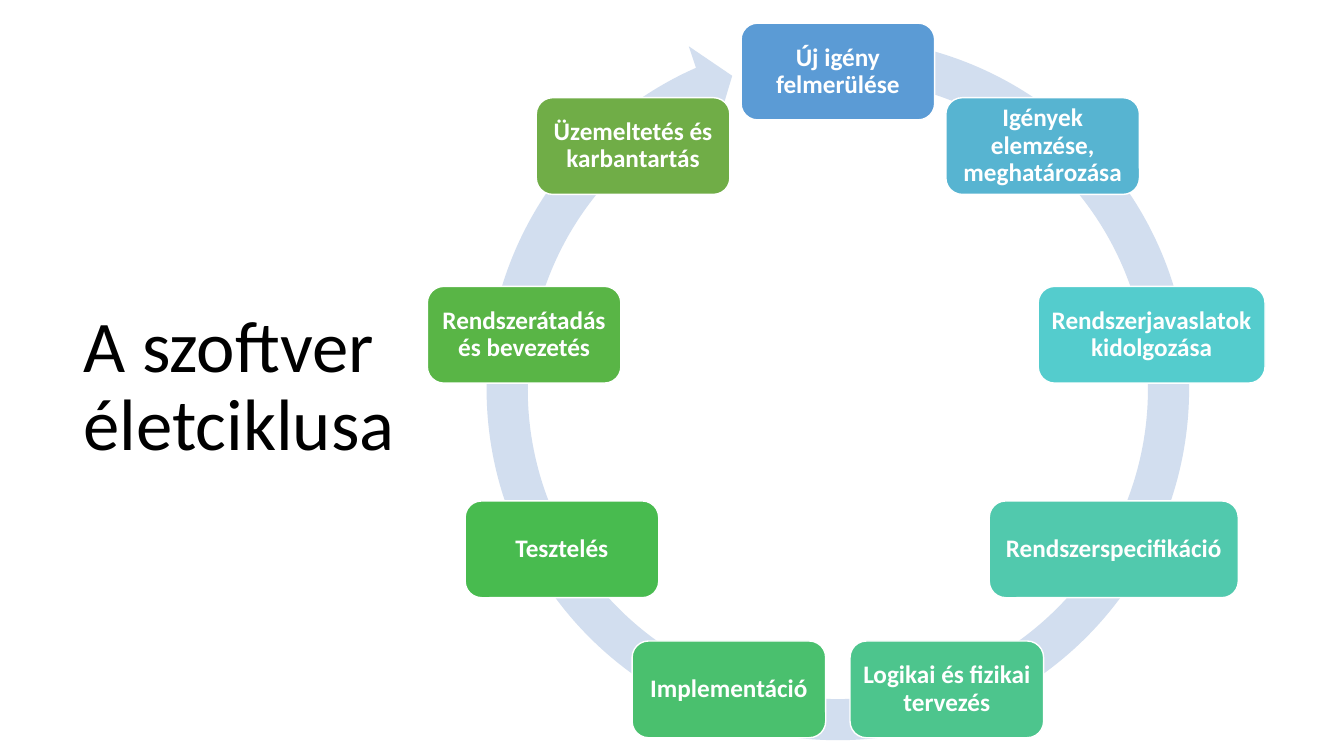
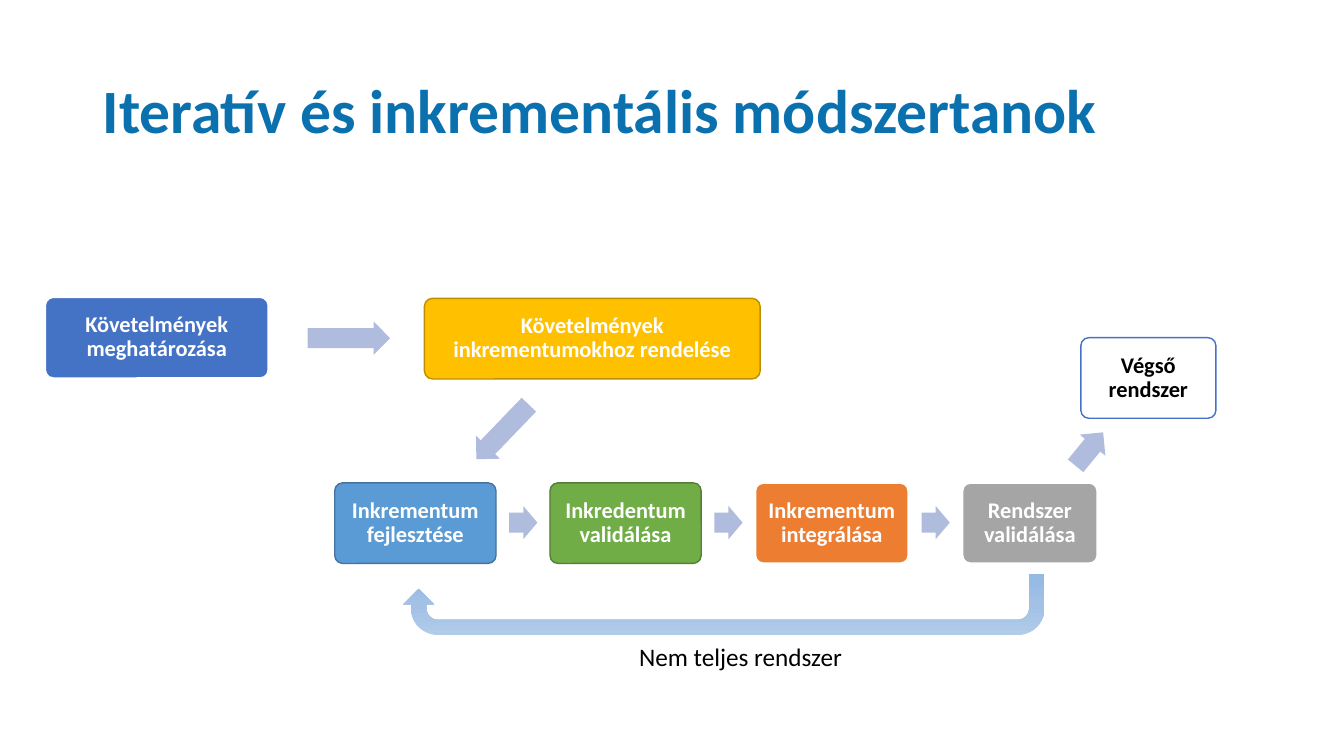
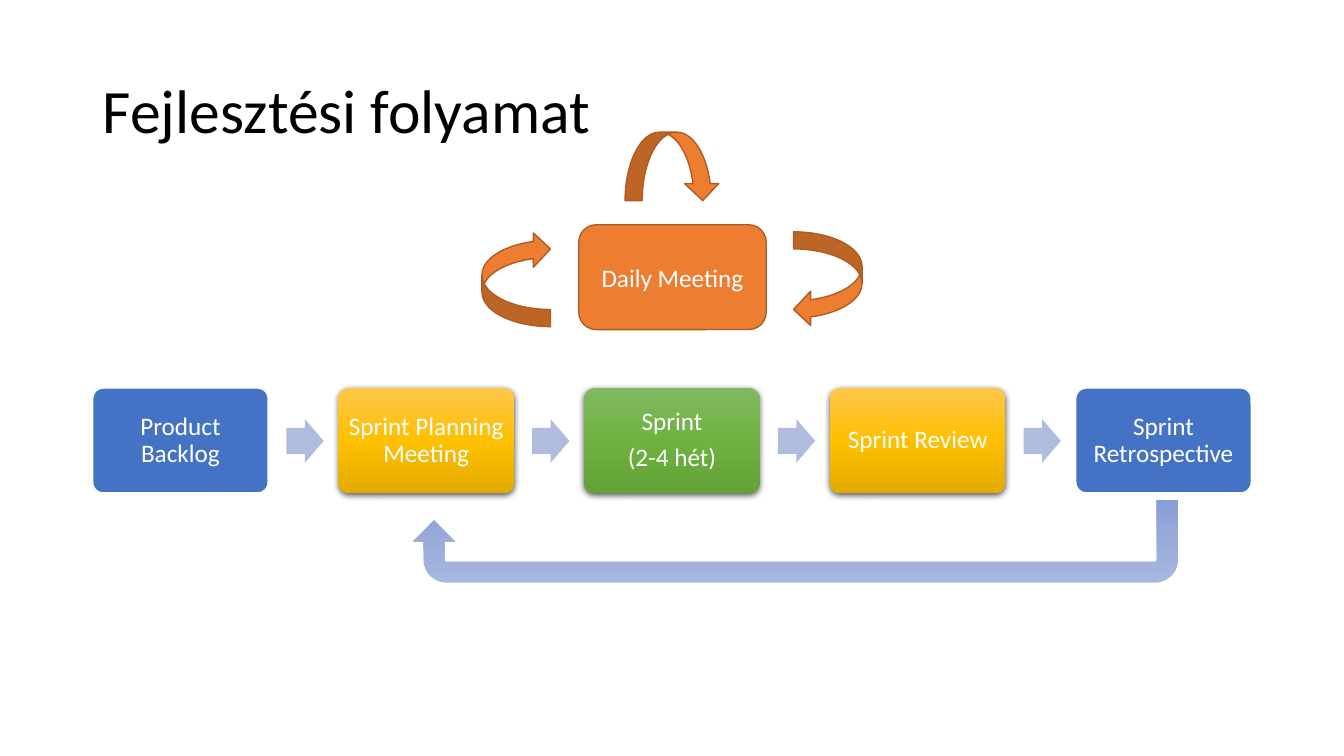
from copy import deepcopy
from math import cos, radians, sin
from typing import NamedTuple

from lxml import etree
from pptx import Presentation
from pptx.dml.color import RGBColor
from pptx.enum.shapes import MSO_SHAPE
from pptx.enum.text import MSO_ANCHOR, PP_ALIGN
from pptx.oxml.ns import qn
from pptx.util import Inches, Pt

ROUNDED = MSO_SHAPE.ROUNDED_RECTANGLE
RIGHT_ARROW = MSO_SHAPE.RIGHT_ARROW
CIRCULAR_ARROW = MSO_SHAPE.CIRCULAR_ARROW
U_TURN = MSO_SHAPE.U_TURN_ARROW
CURVED_ARROW = MSO_SHAPE.CURVED_LEFT_ARROW
MIDDLE = MSO_ANCHOR.MIDDLE
TOP = MSO_ANCHOR.TOP
CENTER = PP_ALIGN.CENTER
LEFT = PP_ALIGN.LEFT

FONT = "Calibri"
BLACK = RGBColor(0x00, 0x00, 0x00)
WHITE = RGBColor(0xFF, 0xFF, 0xFF)
TITLE_BLUE = RGBColor(0x0A, 0x70, 0xAE)
BLUE = RGBColor(0x44, 0x72, 0xC4)
SKY = RGBColor(0x5B, 0x9B, 0xD5)
SKY_EDGE = RGBColor(0x43, 0x73, 0x9E)
GREEN = RGBColor(0x70, 0xAD, 0x47)
GREEN_EDGE = RGBColor(0x53, 0x80, 0x35)
GOLD = RGBColor(0xFF, 0xC0, 0x00)
GOLD_EDGE = RGBColor(0xBD, 0x8E, 0x00)
ORANGE = RGBColor(0xED, 0x7D, 0x31)
ORANGE_EDGE = RGBColor(0xAF, 0x5C, 0x24)
GRAY = RGBColor(0xA5, 0xA5, 0xA5)
ARROW = RGBColor(0xB0, 0xBC, 0xDE)
RING = RGBColor(0xD2, 0xDE, 0xEF)
CYAN = RGBColor(0x57, 0xB4, 0xD1)
TURQUOISE = RGBColor(0x54, 0xCC, 0xCD)
TEAL = RGBColor(0x51, 0xC9, 0xAD)
MINT = RGBColor(0x4D, 0xC5, 0x8D)
JADE = RGBColor(0x4A, 0xC0, 0x6E)
EMERALD = RGBColor(0x48, 0xBB, 0x4F)
LEAF = RGBColor(0x59, 0xB5, 0x46)
GOLD_FADE = (RGBColor(0xFF, 0xC6, 0x4B), GOLD, RGBColor(0xE3, 0xAB, 0x00))
GREEN_FADE = (RGBColor(0x81, 0xB8, 0x61), RGBColor(0x6F, 0xB2, 0x42), RGBColor(0x62, 0xA3, 0x36))
SKY_FADE = (RGBColor(0xB1, 0xCB, 0xE9), RGBColor(0xA3, 0xC1, 0xE5), RGBColor(0x93, 0xB9, 0xE4))
BLUE_FADE = (RGBColor(0xA8, 0xB7, 0xDF), RGBColor(0x9A, 0xAB, 0xD9), RGBColor(0x88, 0x9E, 0xD7))


class Box(NamedTuple):
    left: float
    top: float
    width: float
    height: float

    def inside(self, left, top, width, height):
        return Box(self.left + left, self.top + top, width, height)

    def lengths(self):
        return [Inches(value) for value in self]


TITLE_BOX = Box(0.92, 0.4, 11.5, 1.45)
CYCLE_STEPS = (
    ("Új igény felmerülése", SKY, 1.92),
    ("Igények elemzése, meghatározása", CYAN, 1.92),
    ("Rendszerjavaslatok kidolgozása", TURQUOISE, 2.25),
    ("Rendszerspecifikáció", TEAL, 2.47),
    ("Logikai és fizikai tervezés", MINT, 1.92),
    ("Implementáció", JADE, 1.92),
    ("Tesztelés", EMERALD, 1.92),
    ("Rendszerátadás és bevezetés", LEAF, 1.92),
    ("Üzemeltetés és karbantartás", GREEN, 1.92),
)
INCREMENT_STEPS = (
    ("Inkrementum fejlesztése", SKY, SKY_EDGE, 1, 1.6),
    ("Inkredentum validálása", GREEN, GREEN_EDGE, 1, 1.5),
    ("Inkrementum integrálása", ORANGE, WHITE, 1.5, 1.52),
    ("Rendszer validálása", GRAY, WHITE, 1.5, 1.34),
)
SPRINT_STEPS = (
    ("Product Backlog", BLUE),
    ("Sprint Planning Meeting", GOLD_FADE),
    ("Sprint\n(2-4 hét)", GREEN_FADE),
    ("Sprint Review", GOLD_FADE),
    ("Sprint Retrospective", BLUE),
)


def apply(target, values):
    for name, value in values.items():
        setattr(target, name, value)


def write(frame, text, size, color=WHITE, bold=False, align=CENTER,
          anchor=MIDDLE, wrap=True, spacing=0.9, inset=None):
    apply(frame, {"word_wrap": wrap, "vertical_anchor": anchor})
    if inset is not None:
        sides = ("margin_left", "margin_top", "margin_right", "margin_bottom")
        apply(frame, dict.fromkeys(sides, Inches(inset)))
    for index, line in enumerate(text.split("\n")):
        para = frame.add_paragraph() if index else frame.paragraphs[0]
        apply(para, {"alignment": align, "line_spacing": spacing,
                     "space_before": Pt(0), "space_after": Pt(round(size * 0.35))})
        span = para.add_run()
        span.text = line
        apply(span.font, {"name": FONT, "size": Pt(size), "bold": bold})
        span.font.color.rgb = color


def add_text(page, box, text, size, **style):
    write(page.shapes.add_textbox(*box.lengths()).text_frame, text, size, **style)


def add_title(page, text, box=TITLE_BOX, size=44, color=BLACK, bold=False):
    add_text(page, box, text, size, color=color, bold=bold, align=LEFT)


def fade(shape, colors):
    shape.fill.gradient()
    shape.fill.gradient_angle = 270
    stops = shape._element.spPr.find(qn("a:gradFill")).find(qn("a:gsLst"))
    stops.append(deepcopy(stops[0]))
    for stop, color, position in zip(shape.fill.gradient_stops, colors, (0, 0.5, 1)):
        stop.position = position
        stop.color.rgb = color


def add_shadow(shape):
    effects = shape._element.spPr.find(qn("a:effectLst"))
    shadow = etree.SubElement(effects, qn("a:outerShdw"), blurRad=str(Pt(4.5)),
                              dist=str(Pt(1.5)), dir="5400000", algn="ctr", rotWithShape="0")
    color = etree.SubElement(shadow, qn("a:srgbClr"), val=str(BLACK))
    etree.SubElement(color, qn("a:alpha"), val="63000")


def add_preset(page, preset, box, fill, edge=None, weight=1, turn=0, adjust=()):
    shape = page.shapes.add_shape(preset, *box.lengths())
    shape.shadow.inherit = False
    shape.rotation = turn
    for index, value in enumerate(adjust):
        shape.adjustments[index] = value
    if isinstance(fill, RGBColor):
        shape.fill.solid()
        shape.fill.fore_color.rgb = fill
    else:
        fade(shape, fill)
    if edge is None:
        shape.line.fill.background()
    else:
        shape.line.color.rgb = edge
        shape.line.width = Pt(weight)
    return shape


def add_step(page, box, text, fill, edge=WHITE, weight=1, size=16,
             color=WHITE, bold=True, corner=0.1):
    shape = add_preset(page, ROUNDED, box, fill, edge, weight, adjust=(corner,))
    write(shape.text_frame, text, size, color=color, bold=bold, inset=0.07)
    return shape


def add_arrow(page, box, turn=0):
    add_preset(page, RIGHT_ARROW, box, ARROW, turn=turn, adjust=(0.6, 0.5))


def add_cycle(page, box):
    add_preset(page, CIRCULAR_ARROW, box, RING,
               adjust=(0.055, 3.307, 147.515, 168.164, 0.058))
    radius, height = 3.16, 0.96
    center_x, center_y = box.width / 2, box.height / 2
    for index, (text, fill, width) in enumerate(CYCLE_STEPS):
        angle = radians(360 / len(CYCLE_STEPS) * index)
        left = center_x + radius * sin(angle) - width / 2
        top = center_y + 0.01 - radius * cos(angle) - height / 2
        add_step(page, box.inside(left, top, width, height), text, fill,
                 size=18, corner=0.17)


def add_increments(page, box):
    height = 0.8
    add_step(page, box.inside(0, 0, 2.21, height), "Követelmények meghatározása", BLUE)
    add_arrow(page, box.inside(2.6, 0.24, 0.82, 0.33), 0.1)
    add_step(page, box.inside(3.76, 0.01, 3.33, height),
             "Követelmények inkrementumokhoz rendelése", GOLD, GOLD_EDGE)
    add_arrow(page, box.inside(4.16, 1.17, 0.75, 0.33), 133.9)
    left, top, gap = 2.87, 1.84, 0.535
    for index, (text, fill, edge, weight, width) in enumerate(INCREMENT_STEPS):
        if index:
            add_arrow(page, box.inside(left - gap + 0.13, top + 0.23, 0.28, 0.33))
        add_step(page, box.inside(left, top, width, height), text, fill, edge, weight)
        left += width + gap
    add_arrow(page, box.inside(10.14, 1.34, 0.43, 0.33), 309.4)
    add_step(page, box.inside(10.27, 0.4, 1.34, height), "Végső rendszer",
             WHITE, BLUE, color=BLACK)


def add_return(page, box):
    add_preset(page, U_TURN, box.inside(0, 0, box.width, 0.61), SKY_FADE, turn=180)
    add_text(page, box.inside(2.24, 0.62, 2.24, 0.4), "Nem teljes rendszer", 18,
             color=BLACK, align=LEFT, anchor=TOP, wrap=False, spacing=1.0)


def add_sprints(page, box):
    width = 1.74
    pitch = (box.width - width) / (len(SPRINT_STEPS) - 1)
    for index, (text, fill) in enumerate(SPRINT_STEPS):
        left = pitch * index
        plain = isinstance(fill, RGBColor)
        shape = add_step(page, box.inside(left, 0, width, box.height), text, fill,
                         edge=WHITE if plain else None, size=18, bold=False)
        if not plain:
            add_shadow(shape)
        if index < len(SPRINT_STEPS) - 1:
            add_arrow(page, box.inside(left + 1.92, 0.31, 0.37, 0.43))


def add_daily_meeting(page, box):
    meeting = add_preset(page, ROUNDED, box.inside(0.96, 1.05, 1.86, 1.04),
                         ORANGE, ORANGE_EDGE)
    write(meeting.text_frame, "Daily Meeting", 18, spacing=1.0)
    for left, top, turn in ((3.09, 1.12, 0), (1.55, 0, 270), (0, 1.12, 180)):
        add_preset(page, CURVED_ARROW, box.inside(left, top, 0.68, 0.94),
                   ORANGE, ORANGE_EDGE, turn=turn)


def build_life_cycle(page):
    add_title(page, "A szoftver életciklusa", Box(0.73, 0.8, 3.84, 6.1), 52)
    add_cycle(page, Box(4.6, 0.15, 7.42, 7.42))


def build_iterative(page):
    add_increments(page, Box(0.45, 2.95, 11.61, 2.64))
    add_title(page, "Iteratív és inkrementális módszertanok", color=TITLE_BLUE, bold=True)
    add_return(page, Box(4, 5.69, 6.36, 1.02))


def build_process(page):
    add_title(page, "Fejlesztési folyamat")
    add_sprints(page, Box(0.92, 3.85, 11.49, 1.04))
    add_daily_meeting(page, Box(4.78, 1.18, 3.77, 2.09))
    add_preset(page, U_TURN, Box(4.1, 4.96, 7.58, 0.82), BLUE_FADE, turn=180,
               adjust=(0.25, 0.25, 0.25, 0.274, 0.75))


def main():
    deck = Presentation()
    apply(deck, {"slide_width": Inches(13.33), "slide_height": Inches(7.5)})
    for build in (build_life_cycle, build_iterative, build_process):
        build(deck.slides.add_slide(deck.slide_layouts[6]))
    deck.save("out.pptx")


if __name__ == "__main__":
    main()
